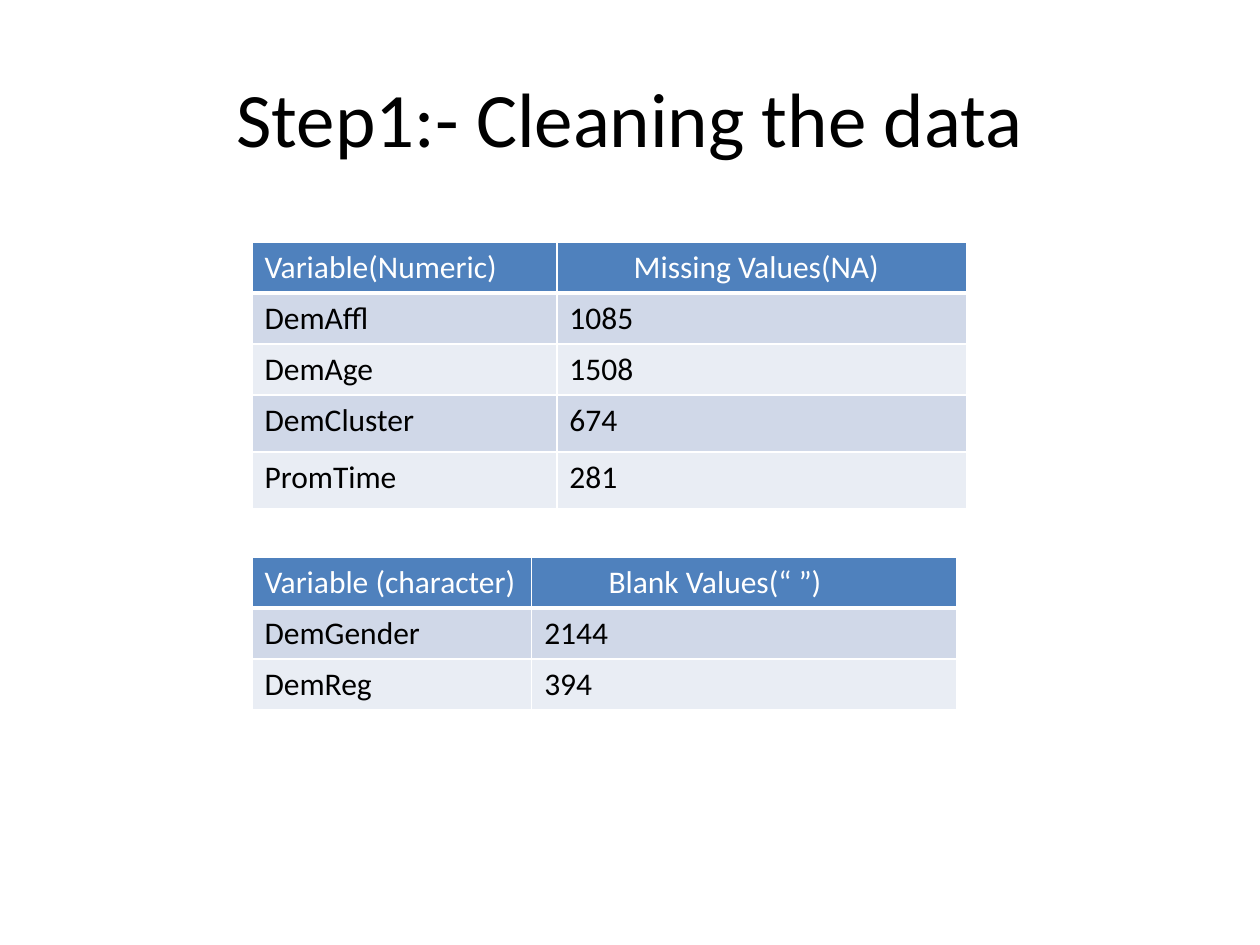
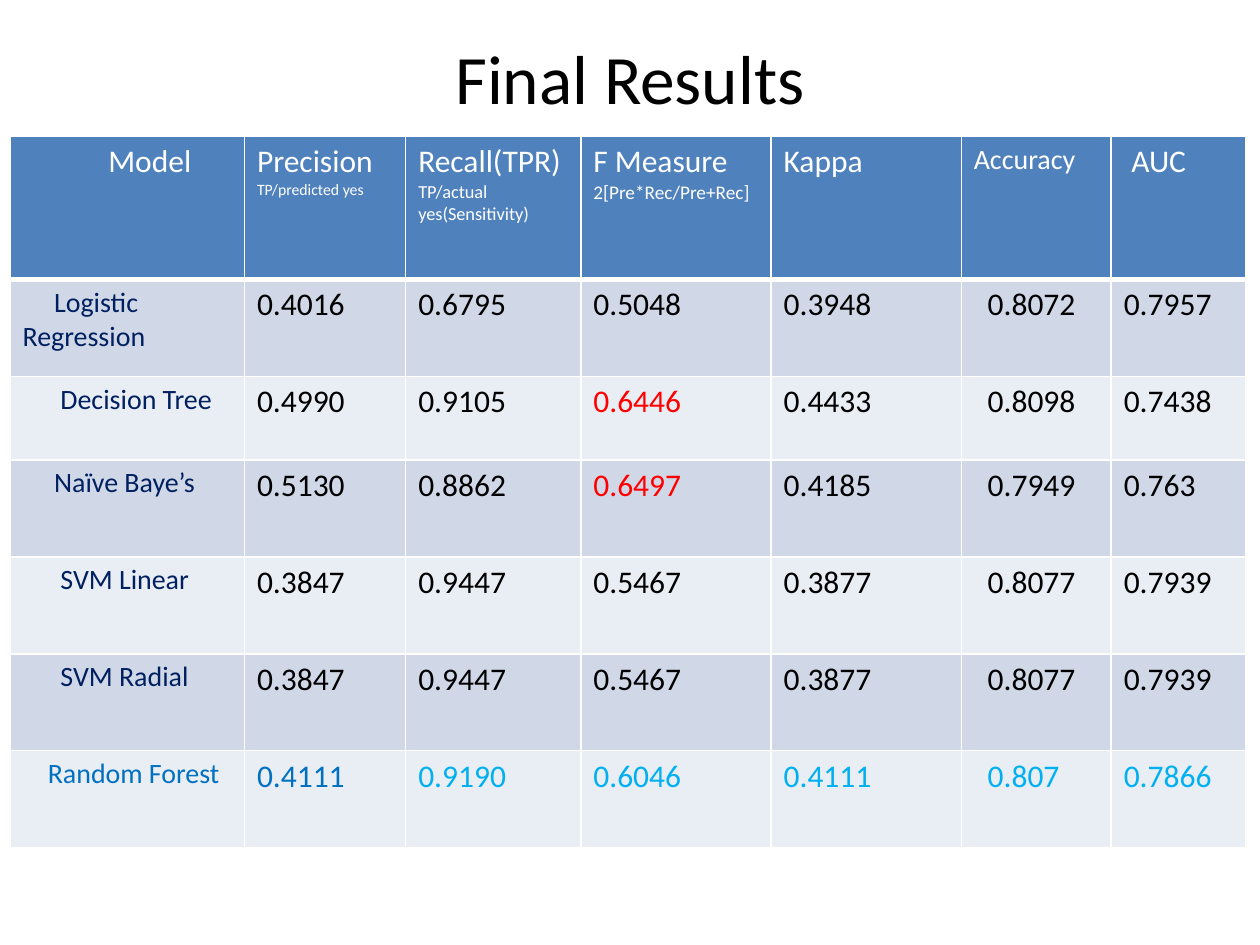
from lxml import etree
from pptx import Presentation
from pptx.dml.color import RGBColor
from pptx.enum.text import MSO_ANCHOR, PP_ALIGN
from pptx.oxml.ns import qn
from pptx.util import Inches, Pt

CENTER = PP_ALIGN.CENTER
MIDDLE = MSO_ANCHOR.MIDDLE
FONT = "Calibri"
TITLE_ONLY = 5
COLORS = {
    "text": "000000",
    "white": "FFFFFF",
    "header": "4F81BD",
    "band_dark": "D0D8E8",
    "band_light": "E9EDF4",
    "model": "002060",
    "best_f": "FF0000",
    "forest": "0070C0",
    "forest_score": "00B0F0",
}


def write_text(paragraph, text, size=18, color="text", indent=0, align=None):
    """Write one run of text with its format into a paragraph."""
    if indent:
        properties = paragraph._p.get_or_add_pPr()
        properties.set("marL", "0")
        properties.set("indent", str(Inches(indent)))
    if align is not None:
        paragraph.alignment = align
    run = paragraph.add_run()
    run.text = text
    font = run.font
    font.name = FONT
    font.size = Pt(size)
    font.bold = False
    font.color.rgb = RGBColor.from_string(COLORS[color])


class Deck:
    """Hold the presentation style and the current slide."""

    def __init__(self):
        self.presentation = Presentation()
        self.presentation.slide_width = Inches(10)
        self.presentation.slide_height = Inches(7.5)
        self.slide = None

    def add_slide(self, title, height, size):
        layout = self.presentation.slide_layouts[TITLE_ONLY]
        self.slide = self.presentation.slides.add_slide(layout)
        shape = self.slide.shapes.title
        shape.left, shape.top = Inches(0.5), Inches(0.3)
        shape.width, shape.height = Inches(9), Inches(height)
        frame = shape.text_frame
        frame.word_wrap = True
        frame.vertical_anchor = MIDDLE
        write_text(frame.paragraphs[0], title, size=size, align=CENTER)

    def add_table(self, left, top, widths, heights, rows):
        graphic = self.slide.shapes.add_table(
            len(heights), len(widths), Inches(left), Inches(top),
            Inches(sum(widths)), Inches(sum(heights)))
        table = graphic.table
        table.horz_banding = False
        for column, width in zip(table.columns, widths):
            column.width = Inches(width)
        for row, height in zip(table.rows, heights):
            row.height = Inches(height)
        for row_index, row in enumerate(rows):
            for column_index, content in enumerate(row):
                self.fill_cell(table.cell(row_index, column_index), content, row_index)

    def fill_cell(self, cell, content, row_index):
        is_header = row_index == 0
        self.add_borders(cell, 3 if is_header else 1)
        fill = "header" if is_header else "band_dark" if row_index % 2 else "band_light"
        cell.fill.solid()
        cell.fill.fore_color.rgb = RGBColor.from_string(COLORS[fill])
        base = {"color": "white" if is_header else "text"}
        lines = [(content, {})] if isinstance(content, str) else content
        frame = cell.text_frame
        for index, (text, style) in enumerate(lines):
            paragraph = frame.add_paragraph() if index else frame.paragraphs[0]
            write_text(paragraph, text, **{**base, **style})

    def add_borders(self, cell, bottom_width):
        properties = cell._tc.get_or_add_tcPr()
        for side, width in (("L", 1), ("R", 1), ("T", 1), ("B", bottom_width)):
            line = etree.SubElement(properties, qn(f"a:ln{side}"), w=str(Pt(width)))
            fill = etree.SubElement(line, qn("a:solidFill"))
            etree.SubElement(fill, qn("a:srgbClr"), val=COLORS["white"])


def build_cleaning(deck):
    deck.add_slide("Step1:- Cleaning the data", height=1.25, size=44)
    deck.add_table(2, 1.92, [2.42, 3.25], [0.4] * 3 + [0.45] * 2, [
        ["Variable(Numeric)", [("Missing Values(NA)", {"indent": 0.51})]],
        ["DemAffl", "1085"],
        ["DemAge", "1508"],
        ["DemCluster", "674"],
        ["PromTime", "281"],
    ])
    deck.add_table(2, 4.42, [2.22, 3.37], [0.4] * 3, [
        ["Variable (character)", [("Blank Values(“ ”)", {"indent": 0.51})]],
        ["DemGender", "2144"],
        ["DemReg", "394"],
    ])


def build_results(deck):
    deck.add_slide("Final Results", height=0.62, size=39.6)
    header = [
        [("Model", {"indent": 0.68})],
        [("Precision", {}), ("TP/predicted yes", {"size": 9})],
        [("Recall(TPR)", {}), ("TP/actual yes(Sensitivity)", {"size": 10.5})],
        [("F Measure", {}), ("2[Pre*Rec/Pre+Rec]", {"size": 11})],
        "Kappa",
        [("Accuracy", {"size": 16})],
        [("AUC", {"indent": 0.06})],
    ]
    models = [
        ("Logistic Regression", 0.25, "0.4016 0.6795 0.5048 0.3948 0.8072 0.7957"),
        ("Decision Tree", 0.3, "0.4990 0.9105 0.6446 0.4433 0.8098 0.7438"),
        ("Naïve Baye’s", 0.25, "0.5130 0.8862 0.6497 0.4185 0.7949 0.763"),
        ("SVM Linear", 0.3, "0.3847 0.9447 0.5467 0.3877 0.8077 0.7939"),
        ("SVM Radial", 0.3, "0.3847 0.9447 0.5467 0.3877 0.8077 0.7939"),
        ("Random Forest", 0.2, "0.4111 0.9190 0.6046 0.4111 0.807 0.7866"),
    ]
    rows = [header]
    for model, indent, scores in models:
        is_forest = model == "Random Forest"
        name_color = "forest" if is_forest else "model"
        score_colors = ["forest_score" if is_forest else "text"] * 6
        if is_forest:
            score_colors[0] = "forest"
        if model in ("Decision Tree", "Naïve Baye’s"):
            score_colors[2] = "best_f"
        score_indents = [0, 0, 0, 0, 0.11, 0]
        row = [[(model, {"size": 16, "color": name_color, "indent": indent})]]
        for score, color, score_indent in zip(scores.split(), score_colors, score_indents):
            row.append([(score, {"color": color, "indent": score_indent})])
        rows.append(row)
    widths = [1.86, 1.28, 1.39, 1.51, 1.51, 1.19, 1.07]
    heights = [1.14, 0.77, 0.66] + [0.77] * 4
    deck.add_table(0.08, 1.08, widths, heights, rows)


def main():
    deck = Deck()
    build_cleaning(deck)
    build_results(deck)
    deck.presentation.save("out.pptx")


if __name__ == "__main__":
    main()
